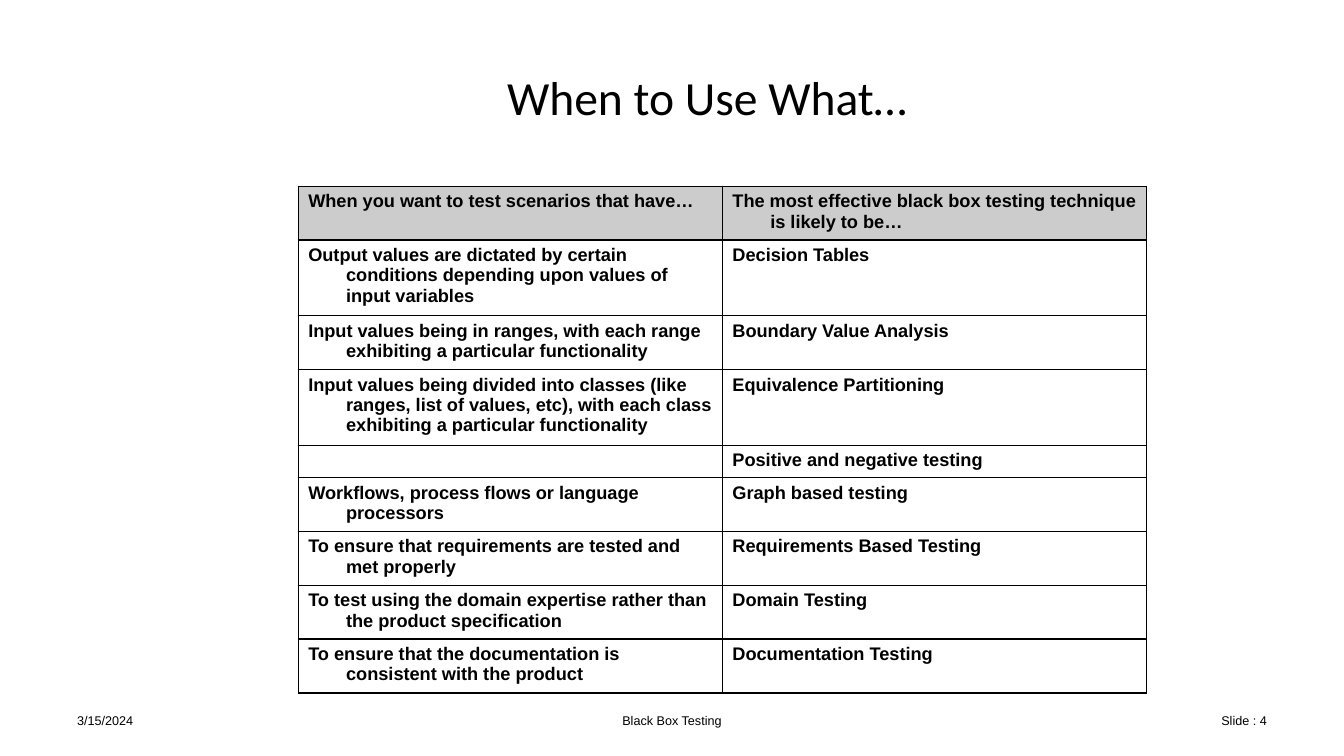
from lxml import etree
from pptx import Presentation
from pptx.dml.color import RGBColor
from pptx.enum.text import MSO_ANCHOR, PP_ALIGN
from pptx.oxml.ns import qn
from pptx.util import Pt

BLACK, GREY = "000000", "CCCCCC"
TITLE = "When to Use What…"
# scenario, technique, lines of text in the row
ROWS = [
    ("When you want to test scenarios that have…",
     "The most effective black box testing technique is likely to be…", 2),
    ("Output values are dictated by certain conditions depending upon values of input variables",
     "Decision Tables", 3),
    ("Input values being in ranges, with each range exhibiting a particular functionality",
     "Boundary Value Analysis", 2),
    ("Input values being divided into classes (like ranges, list of values, etc), "
     "with each class exhibiting a particular functionality",
     "Equivalence Partitioning", 3),
    ("", "Positive and negative testing", 1),
    ("Workflows, process flows or language processors", "Graph based testing", 2),
    ("To ensure that requirements are tested and met properly",
     "Requirements Based Testing", 2),
    ("To test using the domain expertise rather than the product specification",
     "Domain Testing", 2),
    ("To ensure that the documentation is consistent with the product",
     "Documentation Testing", 2),
]
# text, left, width, alignment
FOOTER = [
    ("3/15/2024", 48, 224, PP_ALIGN.LEFT),
    ("Black Box Testing", 328, 304, PP_ALIGN.CENTER),
    ("Slide : 4", 688, 224, PP_ALIGN.RIGHT),
]
TABLE_LEFT, TABLE_TOP, COL_W = 213, 133, 303
ONE_LINE_H, LINE_H = 23, 15.4
INDENT = 27


def rgb(value):
    return RGBColor.from_string(value)


def style(p, name, size, bold=False):
    p.font.name, p.font.size, p.font.bold = name, Pt(size), bold
    p.font.color.rgb = rgb(BLACK)


def add_label(s, text, box, font, size, align):
    tf = s.shapes.add_textbox(*map(Pt, box)).text_frame
    tf.word_wrap = True
    tf.vertical_anchor = MSO_ANCHOR.MIDDLE
    p = tf.paragraphs[0]
    p.text, p.alignment = text, align
    style(p, font, size)


def set_borders(cell):
    """Draw a 1 pt line on each side; borders must precede the cell's fill."""
    tcPr = cell._tc.get_or_add_tcPr()
    for i, side in enumerate(("lnL", "lnR", "lnT", "lnB")):
        ln = etree.Element(qn(f"a:{side}"), w=str(Pt(1)))
        fill = etree.SubElement(ln, qn("a:solidFill"))
        etree.SubElement(fill, qn("a:srgbClr"), val=BLACK)
        tcPr.insert(i, ln)


def fill_cell(cell, text, header):
    if header:
        cell.fill.solid()
        cell.fill.fore_color.rgb = rgb(GREY)
    else:
        cell.fill.background()
    set_borders(cell)
    if not text:
        cell.margin_top = cell.margin_bottom = 0
        return
    p = cell.text_frame.paragraphs[0]
    p.text = text
    style(p, "Arial", 13, bold=True)
    pPr = p._p.get_or_add_pPr()
    pPr.set("marL", str(Pt(INDENT)))
    pPr.set("indent", str(-Pt(INDENT)))


def add_techniques(s):
    heights = [ONE_LINE_H + LINE_H * (lines - 1) for *_, lines in ROWS]
    table = s.shapes.add_table(len(ROWS), 2, Pt(TABLE_LEFT), Pt(TABLE_TOP),
                               Pt(2 * COL_W), Pt(sum(heights))).table
    for column in table.columns:
        column.width = Pt(COL_W)
    for i, (*texts, _) in enumerate(ROWS):
        table.rows[i].height = Pt(heights[i])
        for j, text in enumerate(texts):
            fill_cell(table.cell(i, j), text, header=i == 0)


def main():
    prs = Presentation()
    prs.slide_width, prs.slide_height = Pt(960), Pt(540)
    s = prs.slides.add_slide(prs.slide_layouts[6])
    add_label(s, TITLE, (202, 24, 606, 90), "Calibri", 34, PP_ALIGN.CENTER)
    add_techniques(s)
    for text, left, width, align in FOOTER:
        add_label(s, text, (left, 500, width, 29), "Arial", 9, align)
    prs.save("out.pptx")


if __name__ == "__main__":
    main()
